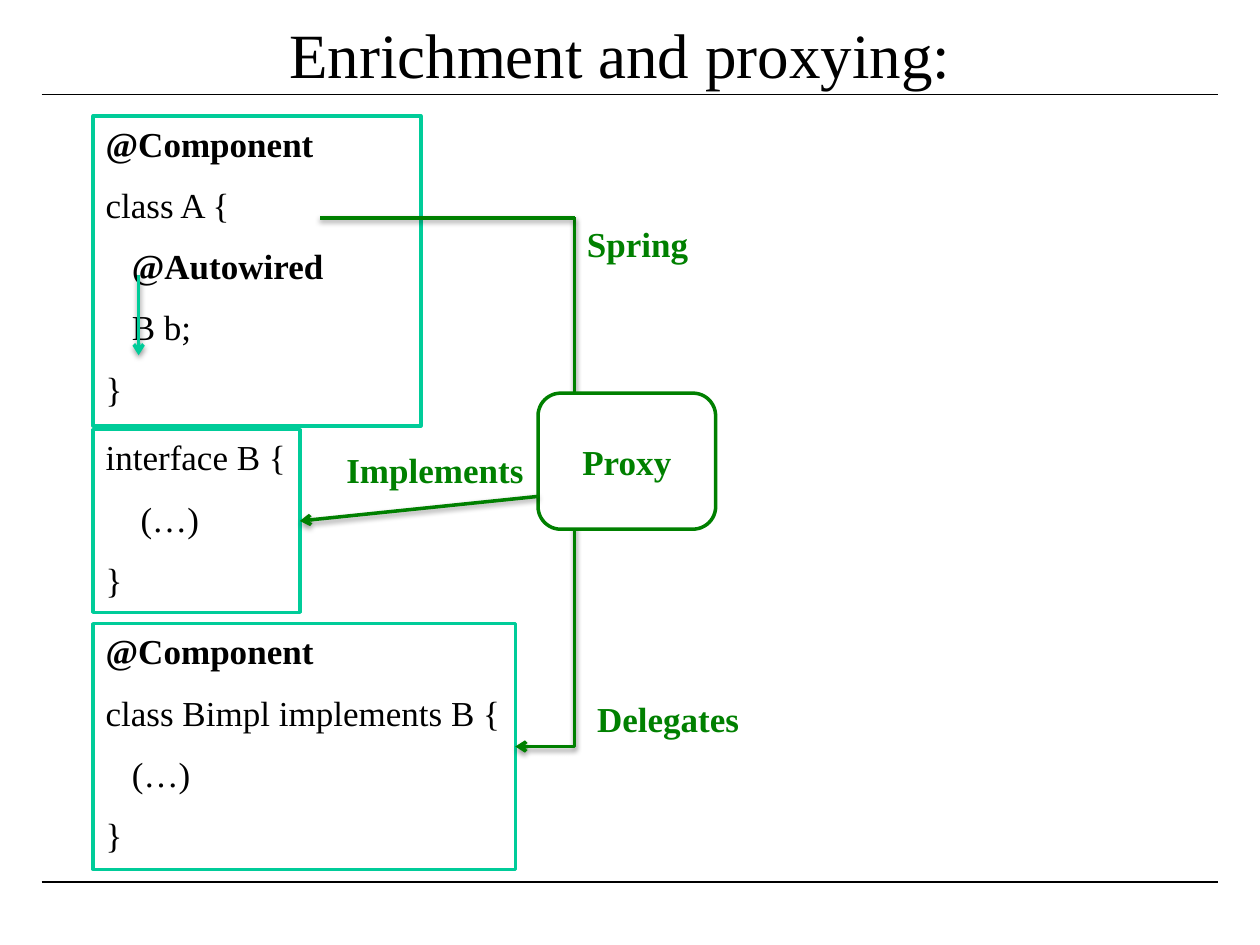
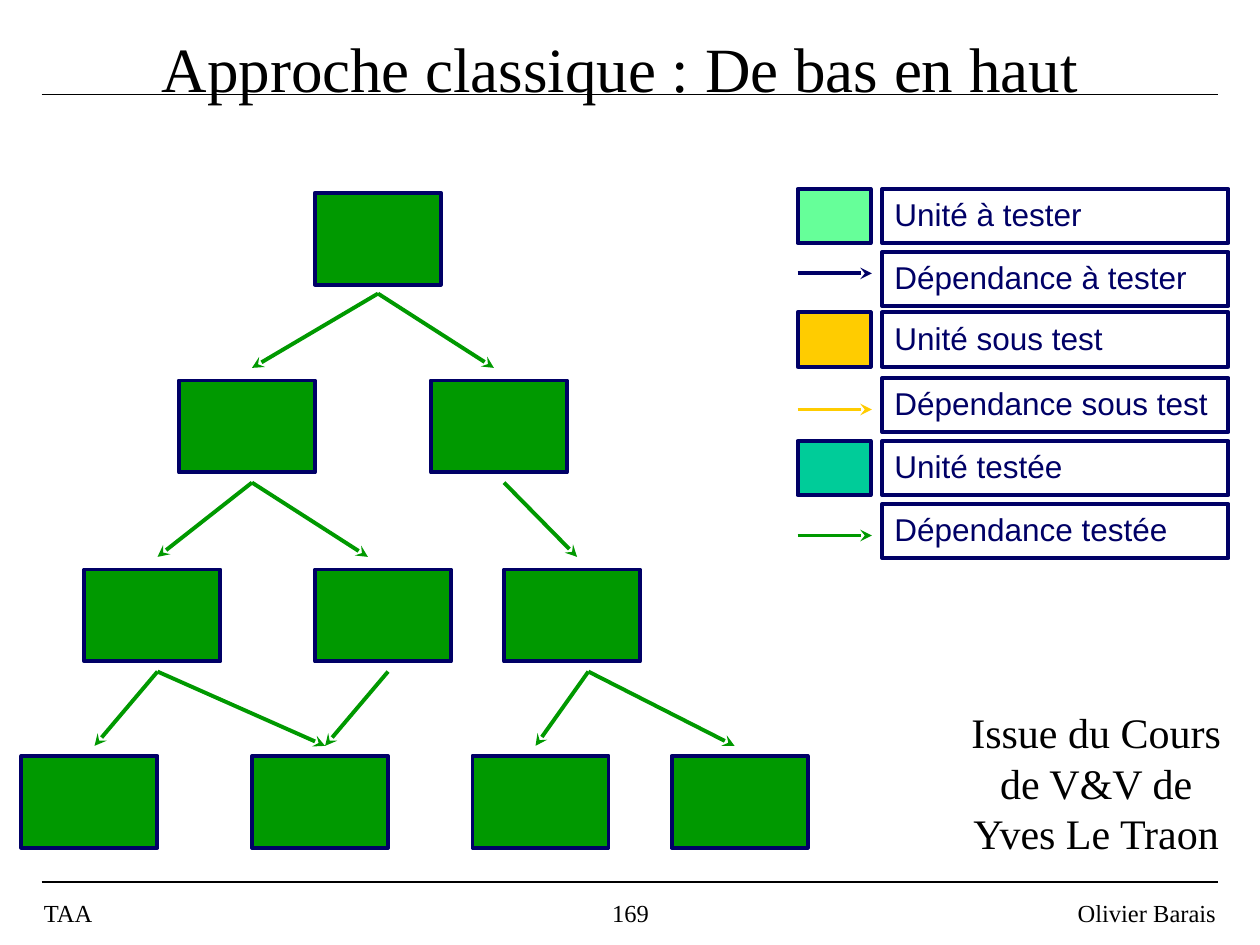
"""Build two course slides: a proxy diagram and a bottom-up test tree."""
from dataclasses import dataclass

from pptx import Presentation
from pptx.dml.color import RGBColor
from pptx.enum.shapes import MSO_CONNECTOR as Connector, MSO_SHAPE as Shape
from pptx.enum.text import MSO_ANCHOR as Anchor, MSO_AUTO_SIZE as AutoSize, PP_ALIGN as Align
from pptx.oxml import parse_xml
from pptx.oxml.ns import nsdecls, qn
from pptx.util import Inches, Pt


@dataclass(frozen=True)
class Theme:
    black: str = "000000"
    white: str = "FFFFFF"
    teal: str = "00CC99"
    proxy_green: str = "008000"
    navy: str = "000066"
    tested_green: str = "009900"
    mint: str = "66FF99"
    amber: str = "FFCC00"
    serif: str = "Times New Roman"
    sans: str = "Arial"
    title_size: float = 36
    caption_size: float = 24
    code_size: float = 20
    legend_size: float = 18
    footer_size: float = 14
    code_gap: float = 11
    rule_width: float = 1
    line_width: float = 2
    tree_width: float = 2.25


SHADOW = (
    f'<a:effectLst {nsdecls("a")}><a:outerShdw blurRad="39370" dist="20320" dir="5400000">'
    '<a:srgbClr val="000000"><a:alpha val="38000"/></a:srgbClr></a:outerShdw></a:effectLst>'
)
NO_EFFECT = f'<a:effectLst {nsdecls("a")}/>'


class Deck:
    """Hold the theme and the current slide, and draw each kind of element."""

    def __init__(self, theme):
        self.theme = theme
        self.presentation = Presentation()
        self.presentation.slide_width = Inches(10)
        self.presentation.slide_height = Inches(7.5)
        self.slide = None

    def new_slide(self, title, top, height):
        """Start a slide with its title and the two rules."""
        self.slide = self.presentation.slides.add_slide(self.presentation.slide_layouts[5])
        for y in (0.75, 7):
            self.line((0.33, y), (9.67, y), self.theme.black, self.theme.rule_width)
        placeholder = self.slide.shapes.title
        placeholder.left, placeholder.top = Inches(0.67), Inches(top)
        placeholder.width, placeholder.height = Inches(8.5), Inches(height)
        self.fill_text(placeholder, [title], self.theme.title_size, self.theme.black,
                       align=Align.CENTER, anchor=Anchor.MIDDLE)

    def fill_text(self, shape, lines, size, color, font=None, bold=lambda line: False,
                  align=Align.LEFT, anchor=Anchor.TOP):
        """Fill a shape with one formatted paragraph per line."""
        frame = shape.text_frame
        frame.auto_size = AutoSize.NONE
        frame.word_wrap = True
        frame.vertical_anchor = anchor
        for index, line in enumerate(lines):
            paragraph = frame.add_paragraph() if index else frame.paragraphs[0]
            paragraph.text = line
            paragraph.alignment = align
            paragraph.space_before = Pt(self.theme.code_gap if index else 0)
            paragraph.font.name = font or self.theme.serif
            paragraph.font.size = Pt(size)
            paragraph.font.bold = bold(line)
            paragraph.font.color.rgb = RGBColor.from_string(color)

    def text(self, box, line, size, color, **style):
        """Add a plain text box."""
        shape = self.slide.shapes.add_textbox(*map(Inches, box))
        self.fill_text(shape, [line], size, color, **style)

    def box(self, box, fill, outline, width, kind=Shape.RECTANGLE):
        """Add an outlined shape; a fill of None leaves it clear."""
        shape = self.slide.shapes.add_shape(kind, *map(Inches, box))
        shape.shadow.inherit = False
        if fill:
            shape.fill.solid()
            shape.fill.fore_color.rgb = RGBColor.from_string(fill)
        else:
            shape.fill.background()
        shape.line.color.rgb = RGBColor.from_string(outline)
        shape.line.width = Pt(width)
        return shape

    def code_box(self, box, lines):
        """Add a code listing whose annotations are bold."""
        theme = self.theme
        shape = self.box(box, theme.white, theme.teal, theme.line_width)
        self.fill_text(shape, lines, theme.code_size, theme.black,
                       bold=lambda line: line.strip().startswith("@"))
        return shape

    def line(self, start, end, color, width, head=None, tail=None, shadow=False,
             kind=Connector.STRAIGHT):
        """Add a connector with optional arrowheads and shadow."""
        connector = self.slide.shapes.add_connector(kind, *map(Inches, (*start, *end)))
        connector.line.color.rgb = RGBColor.from_string(color)
        connector.line.width = Pt(width)
        properties = connector.element.spPr
        outline = properties.find(qn("a:ln"))
        for tag, arrow in (("headEnd", head), ("tailEnd", tail)):
            if arrow:
                outline.append(parse_xml(f'<a:{tag} {nsdecls("a")} type="{arrow}"/>'))
        properties.append(parse_xml(SHADOW if shadow else NO_EFFECT))
        if kind == Connector.ELBOW:
            properties.find(qn("a:prstGeom")).set("prst", "bentConnector2")
        return connector

    def footer(self, entries):
        """Add the footer texts given as left, width, alignment and wording."""
        for left, width, align, wording in entries:
            self.text((left, 7.08, width, 0.33), wording, self.theme.footer_size,
                      self.theme.black, align=align, anchor=Anchor.MIDDLE)


def draw_proxying(deck):
    """Draw the Spring proxy diagram."""
    theme = deck.theme
    green, width = theme.proxy_green, theme.line_width
    deck.new_slide("Enrichment and proxying:", 0.17, 0.5)
    deck.code_box((0.74, 0.92, 2.6, 2.46),
                  ["@Component", "class A {", "   @Autowired", "   B b;", "}"])
    interface = deck.code_box((0.74, 3.41, 1.64, 1.45), ["interface B {", "    (…)", "}"])
    implementation = deck.code_box(
        (0.74, 4.95, 3.35, 1.95),
        ["@Component", "class Bimpl implements B {", "   (…)", "}"])

    deck.line((1.1, 2.18), (1.1, 2.82), theme.teal, width, tail="arrow", shadow=True)
    delegation = deck.line((4.09, 5.92), (4.56, 1.72), green, width, head="arrow",
                           shadow=True, kind=Connector.ELBOW)
    delegation.begin_connect(implementation, 3)
    deck.line((4.56, 1.73), (2.54, 1.73), green, width, shadow=True)

    proxy = deck.box((4.27, 3.12, 1.41, 1.08), theme.white, green, width,
                     Shape.ROUNDED_RECTANGLE)
    deck.fill_text(proxy, ["Proxy"], theme.code_size, green, bold=lambda line: True,
                   align=Align.CENTER, anchor=Anchor.MIDDLE)
    realization = deck.line((4.27, 3.94), (2.38, 4.13), green, width, tail="arrow", shadow=True)
    realization.end_connect(interface, 3)

    for label, left, top, label_width in (("Spring", 4.56, 1.72, 1.01),
                                          ("Implements", 2.65, 3.51, 1.62),
                                          ("Delegates", 4.64, 5.49, 1.34)):
        deck.text((left, top, label_width, 0.44), label, theme.code_size, green,
                  bold=lambda line: True)


def draw_bottom_up(deck):
    """Draw the tree of tested units and its legend."""
    theme = deck.theme
    width = theme.tree_width
    deck.new_slide("Approche classique : De bas en haut", 0.4, 0.27)
    deck.footer([(0.25, 2.08, Align.LEFT, "TAA"),
                 (3.42, 3.17, Align.CENTER, "169"),
                 (7.67, 2.08, Align.RIGHT, "Olivier Barais")])

    unit_levels = [(1.53, 1, [2.5]),
                   (3.02, 1.08, [1.42, 3.42]),
                   (4.52, 1.08, [0.67, 2.5, 4]),
                   (6, 1.08, [0.17, 2, 3.75, 5.33])]
    for top, unit_width, lefts in unit_levels:
        for left in lefts:
            deck.box((left, top, unit_width, 0.73), theme.tested_green, theme.navy, width)

    dependency_levels = [
        [(3, 2), (3, 3.92)],
        [(2, 1.25), (2, 2.92), (4, 4.58)],
        [(4.67, 4.25), (1.25, 0.75), (1.25, 2.58), (3.08, 2.58), (4.67, 5.83)]]
    for level, dependencies in enumerate(dependency_levels):
        y = 2.33 + 1.5 * level
        for start, end in dependencies:
            deck.line((start, y), (end, y + 0.59), theme.tested_green, width, tail="stealth")

    legend = [("Unité à tester", 1.5, theme.mint, None),
              ("Dépendance à tester", 2, theme.navy, 2.17),
              ("Unité sous test", 2.48, theme.amber, None),
              ("Dépendance sous test", 3, theme.amber, 3.25),
              ("Unité testée", 3.5, theme.teal, None),
              ("Dépendance testée", 4, theme.tested_green, 4.25)]
    for label, top, color, arrow_y in legend:
        entry = deck.box((7, top, 2.75, 0.43), None, theme.navy, width)
        deck.fill_text(entry, [label], theme.legend_size, theme.navy, theme.sans)
        if arrow_y:
            deck.line((6.33, arrow_y), (6.92, arrow_y), color, width, tail="stealth")
        else:
            deck.box((6.33, top, 0.58, 0.43), color, theme.navy, width)

    deck.text((7.6, 5.56, 2.2, 1.3), "Issue du Cours de V&V de Yves Le Traon",
              theme.caption_size, theme.black, align=Align.CENTER)


def main():
    """Build and save the deck."""
    deck = Deck(Theme())
    draw_proxying(deck)
    draw_bottom_up(deck)
    deck.presentation.save("out.pptx")


if __name__ == "__main__":
    main()
